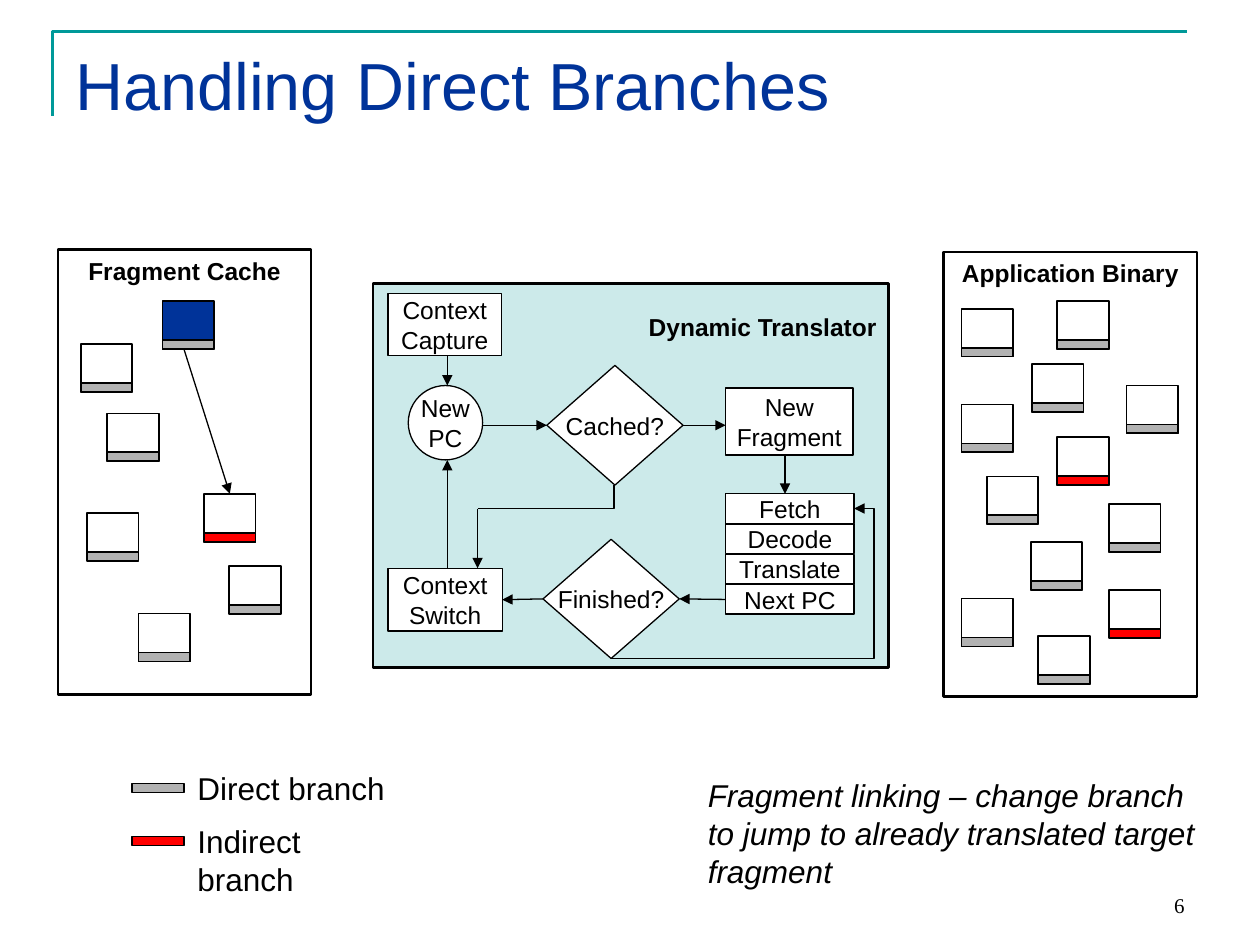
from pptx import Presentation
from pptx.dml.color import RGBColor
from pptx.enum.shapes import MSO_CONNECTOR as Link, MSO_SHAPE as Form
from pptx.enum.text import MSO_ANCHOR as Anchor, PP_ALIGN as Align
from pptx.oxml.ns import qn
from pptx.util import Pt
from lxml.etree import SubElement

BLACK = RGBColor(0x00, 0x00, 0x00)
WHITE = RGBColor(0xFF, 0xFF, 0xFF)
NAVY = RGBColor(0x00, 0x33, 0x99)
TEAL = RGBColor(0x00, 0x99, 0x99)
GRAY = RGBColor(0xB2, 0xB2, 0xB2)
RED = RGBColor(0xFF, 0x00, 0x00)

BLOCK_WIDTH, BLOCK_HEIGHT = 29.5, 27.4
STRIP_HEIGHT = 5.1


class Painter:
    """Holds the text style and the slide being drawn."""

    font = "Arial"

    def __init__(self, page):
        self.page = page

    def fill_text(self, frame, text, size=14, color=BLACK, bold=False,
                  italic=False, align=Align.LEFT, anchor=Anchor.TOP,
                  wrap=True, font=None):
        frame.word_wrap = wrap
        frame.vertical_anchor = anchor
        frame.text = text
        for para in frame.paragraphs:
            para.alignment = align
            para.font.name = font or self.font
            para.font.size = Pt(size)
            para.font.color.rgb = color
            para.font.bold = bold
            para.font.italic = italic

    def text(self, left, top, width, height, text, **style):
        box = self.page.shapes.add_textbox(
            Pt(left), Pt(top), Pt(width), Pt(height))
        self.fill_text(box.text_frame, text, **style)

    def shape(self, left, top, width, height, fill=WHITE, line=1,
              form=Form.RECTANGLE, alpha=None, parent=None):
        box = (parent or self.page).shapes.add_shape(
            form, Pt(left), Pt(top), Pt(width), Pt(height))
        box.shadow.inherit = False
        box.fill.solid()
        box.fill.fore_color.rgb = fill
        box.line.color.rgb = BLACK
        box.line.width = Pt(line)
        if alpha:
            color = box._element.spPr.find(".//" + qn("a:srgbClr"))
            SubElement(color, qn("a:alpha"), val=str(alpha * 1000))
        return box

    def node(self, left, top, width, height, text, form=Form.RECTANGLE):
        box = self.shape(left, top, width, height, line=0.75, form=form)
        self.fill_text(box.text_frame, text, align=Align.CENTER,
                       anchor=Anchor.MIDDLE, wrap=False)
        return box

    def block(self, left, top, branch=GRAY, body=WHITE):
        group = self.page.shapes.add_group_shape()
        box = self.shape(left, top, BLOCK_WIDTH, BLOCK_HEIGHT, body,
                         parent=group)
        self.shape(left, top + BLOCK_HEIGHT - STRIP_HEIGHT, BLOCK_WIDTH,
                   STRIP_HEIGHT, branch, parent=group)
        return box

    def panel(self, left, top, title):
        self.shape(left, top, 144.7, 254.2, line=1.5)
        self.text(left, top, 144.7, 24.5, title, bold=True,
                  align=Align.CENTER)

    def arrow(self, start, end, kind=Link.STRAIGHT, head=True):
        """Each end is a point, or a shape with a connection site."""
        start_free, end_free = (isinstance(spot[0], (int, float))
                                for spot in (start, end))
        places = (start if start_free else (0, 0)) + (
            end if end_free else (0, 0))
        link = self.page.shapes.add_connector(kind, *map(Pt, places))
        if not start_free:
            link.begin_connect(*start)
        if not end_free:
            link.end_connect(*end)
        link.line.color.rgb = BLACK
        link.line.width = Pt(0.75)
        if head:
            SubElement(link._element.spPr.find(qn("a:ln")), qn("a:tailEnd"),
                       type="triangle")
        SubElement(link._element.spPr, qn("a:effectLst"))
        return link

    def corner(self, points, color):
        start, *others = [(Pt(x), Pt(y)) for x, y in points]
        builder = self.page.shapes.build_freeform(*start)
        builder.add_line_segments(others, close=False)
        outline = builder.convert_to_shape()
        outline.shadow.inherit = False
        outline.fill.background()
        outline.line.color.rgb = color
        outline.line.width = Pt(1.5)


def main():
    deck = Presentation()
    deck.slide_width, deck.slide_height = Pt(720), Pt(540)
    paint = Painter(deck.slides.add_slide(deck.slide_layouts[6]))

    # Title with its corner rule
    paint.corner([(30.2, 66.2), (30.2, 18), (678.2, 18)], TEAL)
    paint.text(36, 21.6, 648, 90, "Handling Direct Branches", size=38,
               color=NAVY)

    # Dynamic translator: nodes
    paint.shape(213.1, 162, 294.5, 219.6, TEAL, 1.5, alpha=20)
    paint.text(363.6, 175, 144.7, 41, "Dynamic Translator", bold=True)
    paint.node(221.8, 167.8, 64.8, 35.3, "Context\nCapture")
    switch = paint.node(221.8, 324.7, 65.2, 36, "Context\nSwitch")
    paint.node(233.3, 220.3, 42.5, 42.5, "New\nPC", Form.OVAL)
    cached = paint.node(312.5, 208.8, 77.8, 68.4, "Cached?",
                        Form.FLOWCHART_DECISION)
    finished = paint.node(310.3, 308.2, 77.8, 68.1, "Finished?",
                          Form.FLOWCHART_DECISION)
    paint.node(414.7, 221.8, 72.7, 38.2, "New\nFragment")
    steps = [paint.node(414.7, 282.2 + 17.3 * row, 73.4, 16.9, label)
             for row, label in enumerate(
                 ["Fetch", "Decode", "Translate", "Next PC"])]

    # Dynamic translator: flow
    paint.arrow((255.6, 203), (255.6, 220.3))
    paint.arrow((255.6, 324.7), (255.6, 262.8))
    paint.arrow((275.8, 243), (cached, 1))
    paint.arrow((cached, 3), (414.7, 243))
    paint.arrow((448.6, 260), (448.6, 282.2))
    paint.arrow((steps[-1], 1), (finished, 3))
    paint.arrow((finished, 1), (switch, 3))
    loop = paint.arrow((finished, 2), (steps[0], 3), Link.ELBOW)
    bend = loop._element.spPr.prstGeom.get_or_add_avLst()
    SubElement(bend, qn("a:gd"), name="adj1", fmla="val 108200")

    # Cached fragments go down and left to the context switch
    turn = paint.arrow((305.1, 244.9), (318.8, 322.7), Link.ELBOW, head=False)
    turn._element.spPr.prstGeom.set("prst", "bentConnector2")
    turn._element.spPr.find(qn("a:xfrm")).set("rot", "5400000")
    paint.arrow((272.9, 290.6), (272.9, 324.7))

    # Fragment cache
    paint.panel(33.1, 142.6, "Fragment Cache")
    for left, top in [(49.7, 293), (131, 323.3), (61.2, 236.2),
                      (79.2, 350.6), (46.1, 196.6)]:
        paint.block(left, top)
    paint.block(92.9, 172.1, body=NAVY)
    target = paint.block(116.6, 282.2, RED)
    paint.arrow((105.1, 199.4), (target, 0))

    # Application binary
    paint.panel(539.3, 144, "Application Binary")
    for left, top in [(549.4, 176.4), (589.7, 208.1), (604.1, 172.1),
                      (549.4, 231.1), (643.7, 220.3), (589, 309.6),
                      (563.8, 272.2), (633.6, 288), (549.4, 342),
                      (593.3, 363.6)]:
        paint.block(left, top)
    for left, top in [(604.1, 249.8), (633.6, 337)]:
        paint.block(left, top, RED)

    # Legend
    for top, color, label in [(447.8, GRAY, "Direct branch"),
                              (478.1, RED, "Indirect branch")]:
        paint.shape(75.6, top, BLOCK_WIDTH, STRIP_HEIGHT, color)
        paint.text(105.8, top - 11.8, 133, 28.8, label, size=18, wrap=False)

    # Remark and page number
    paint.text(397.4, 439.9, 292.3, 72,
               "Fragment linking – change branch\n"
               "to jump to already translated target\nfragment",
               size=18, italic=True, wrap=False)
    paint.text(516.2, 491.8, 167.8, 36, "6", size=12, align=Align.RIGHT,
               anchor=Anchor.BOTTOM, font="Times New Roman")

    deck.save("out.pptx")


if __name__ == "__main__":
    main()
